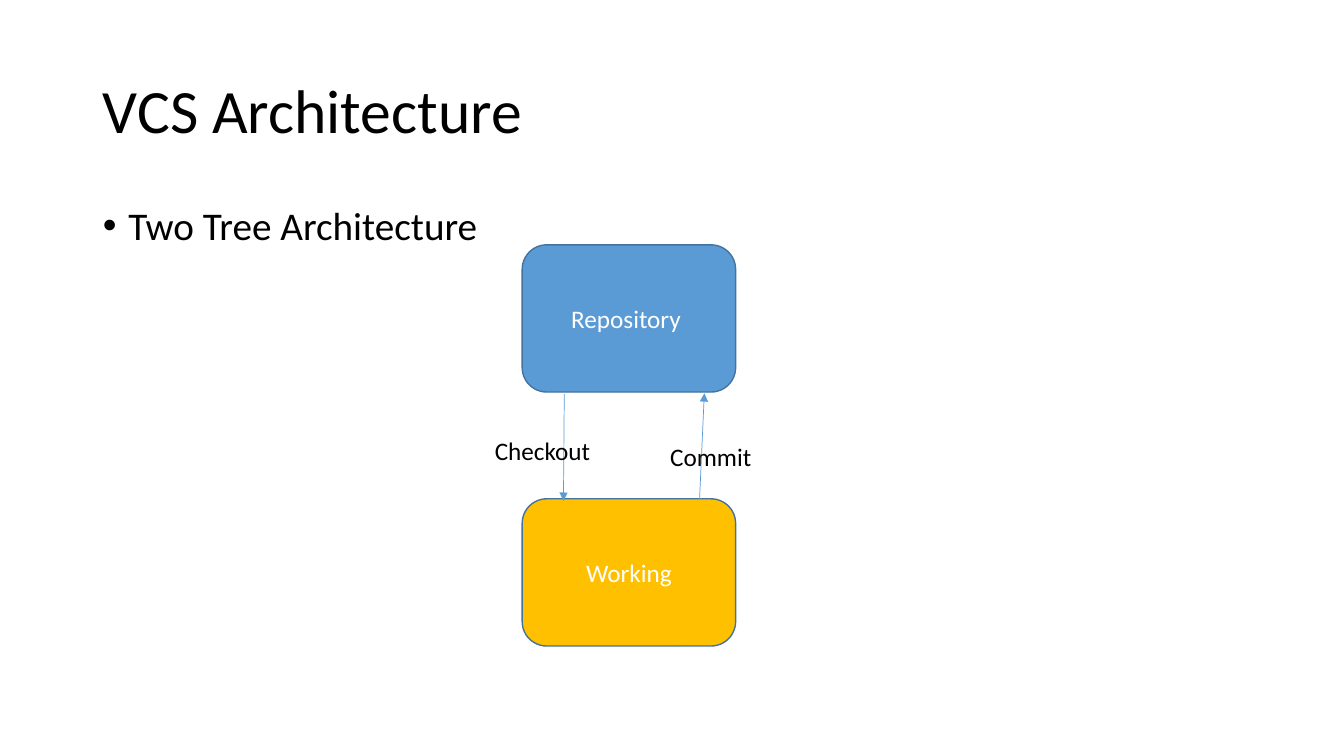
from lxml.etree import SubElement
from pptx import Presentation
from pptx.dml.color import RGBColor
from pptx.enum.shapes import MSO_CONNECTOR, MSO_SHAPE
from pptx.enum.text import MSO_ANCHOR, MSO_AUTO_SIZE, PP_ALIGN
from pptx.oxml.ns import qn
from pptx.util import Cm, Pt

COLORS = {"text": "000000", "light": "FFFFFF", "repository": "5B9BD5",
          "working": "FFC000", "outline": "43739E", "arrow": "5B9BD5"}
FONT = "Calibri"

# Lengths are in centimetres.
TITLE = ("VCS Architecture", (2.34, 1.02, 29.21, 3.68))
TOPIC = ("Two Tree Architecture", (2.34, 5.08, 29.21, 12.09))
TREE_LEFT, TREE_WIDTH, TREE_HEIGHT = 13.16, 5.38, 3.71
TREES = [("Repository ", "repository", 6.17), ("Working", "working", 12.57)]
# label, label left, top and width, arrow start, arrow end
TRANSFERS = [
    ("Checkout", (12.22, 10.85, 3.35), (14.22, 9.93), (14.2, 12.62)),
    ("Commit", (16.64, 11.0, 2.95), (17.63, 12.57), (17.75, 9.91)),
]
LABEL_HEIGHT = 1.02


def color(role):
    """Return the colour of a role on the slide."""
    return RGBColor.from_string(COLORS[role])


def write(shape, text, size, role="text", align=PP_ALIGN.LEFT,
          anchor=MSO_ANCHOR.TOP):
    """Put formatted text in a shape and return its paragraph."""
    frame = shape.text_frame
    frame.text = text
    frame.vertical_anchor = anchor
    paragraph = frame.paragraphs[0]
    paragraph.alignment = align
    font = paragraph.runs[0].font
    font.name, font.size = FONT, Pt(size)
    font.color.rgb = color(role)
    return paragraph


def place(shape, box):
    """Move and size a placeholder."""
    shape.left, shape.top, shape.width, shape.height = map(Cm, box)


def add_tree(slide, name, role, top):
    """Add one rounded box of the architecture."""
    tree = slide.shapes.add_shape(
        MSO_SHAPE.ROUNDED_RECTANGLE,
        *map(Cm, (TREE_LEFT, top, TREE_WIDTH, TREE_HEIGHT)))
    tree.shadow.inherit = False
    tree.fill.solid()
    tree.fill.fore_color.rgb = color(role)
    tree.line.color.rgb = color("outline")
    tree.line.width = Pt(1)
    write(tree, name, 18, "light", PP_ALIGN.CENTER, MSO_ANCHOR.MIDDLE)


def add_arrow(slide, start, end):
    """Add a thin arrow pointing at its end."""
    arrow = slide.shapes.add_connector(
        MSO_CONNECTOR.STRAIGHT, *map(Cm, start + end))
    arrow.line.color.rgb = color("arrow")
    arrow.line.width = Pt(0.5)
    SubElement(arrow.line._get_or_add_ln(), qn("a:tailEnd"), type="triangle")
    SubElement(arrow._element.spPr, qn("a:effectLst"))


def add_label(slide, text, spot):
    """Add the name of a transfer."""
    label = slide.shapes.add_textbox(*map(Cm, spot + (LABEL_HEIGHT,)))
    label.text_frame.word_wrap = True
    label.text_frame.auto_size = MSO_AUTO_SIZE.SHAPE_TO_FIT_TEXT
    write(label, text, 18)


presentation = Presentation()
presentation.slide_width, presentation.slide_height = Cm(33.87), Cm(19.05)
slide = presentation.slides.add_slide(presentation.slide_layouts[1])

title, topic = slide.placeholders
place(title, TITLE[1])
heading = write(title, TITLE[0], 44, anchor=MSO_ANCHOR.MIDDLE)
heading.line_spacing = 0.9

place(topic, TOPIC[1])
bullet = write(topic, TOPIC[0], 28)
bullet.line_spacing = 0.9
bullet.space_before = Pt(10)
properties = bullet._p.get_or_add_pPr()
properties.set("marL", str(Cm(0.64)))
properties.set("indent", str(-Cm(0.64)))
SubElement(properties, qn("a:buFont"), typeface="Arial")
SubElement(properties, qn("a:buChar"), char="•")

for tree in TREES:
    add_tree(slide, *tree)
for _, _, start, end in TRANSFERS:
    add_arrow(slide, start, end)
for text, spot, _, _ in TRANSFERS:
    add_label(slide, text, spot)

presentation.save("out.pptx")
